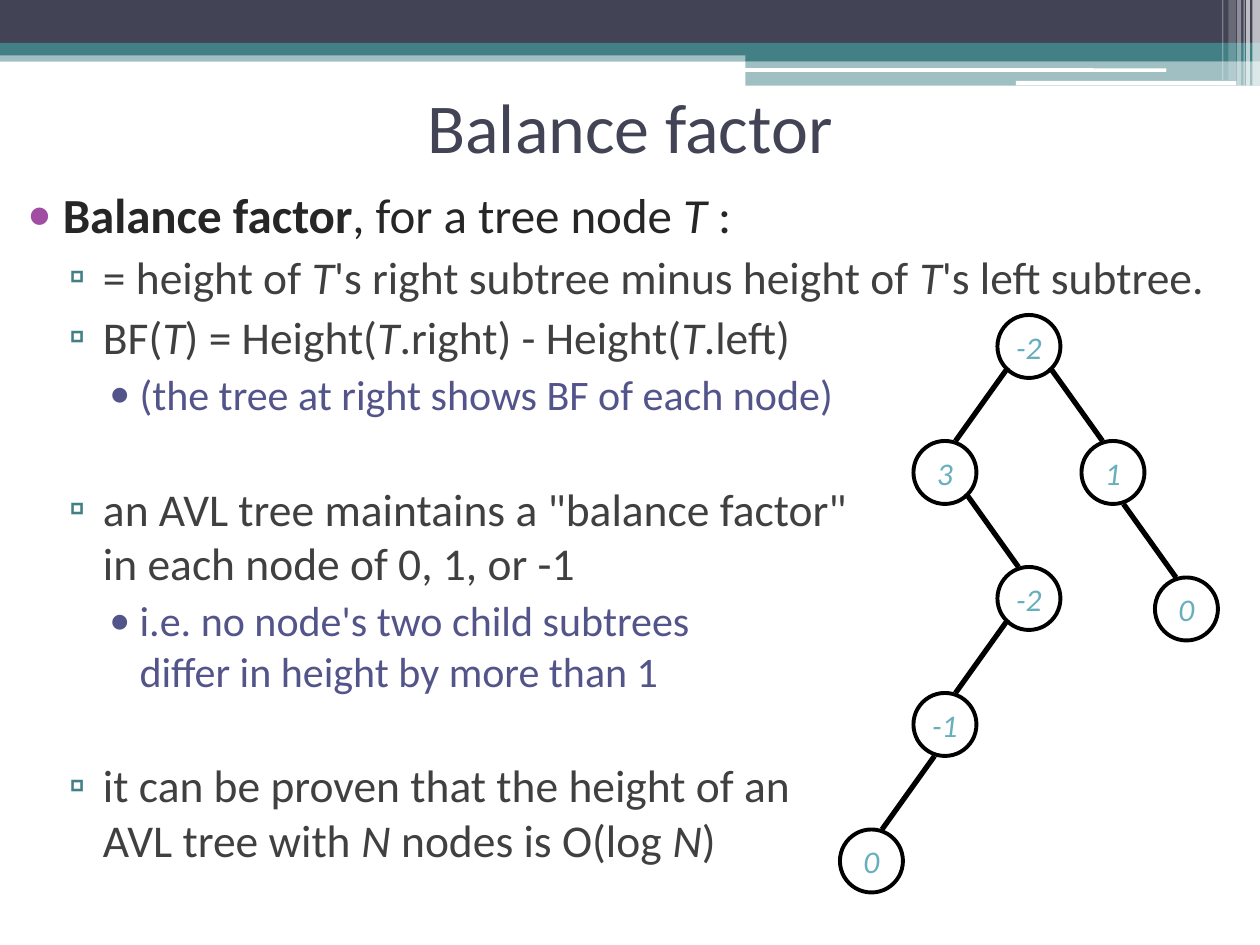
from lxml.etree import SubElement as Sub
from pptx import Presentation
from pptx.dml.color import RGBColor
from pptx.enum.shapes import MSO_CONNECTOR as Link, MSO_SHAPE as Kind
from pptx.enum.text import MSO_ANCHOR as Anchor, PP_ALIGN as Align
from pptx.oxml.ns import qn
from pptx.util import Pt

FONT = "Calibri"
NAVY, TEAL, WHITE, BLACK = "424456", "438086", "FFFFFF", "000000"

# left, top, width, height, colour, opacity in percent
BARS = [
    (0, 28.8, 720, 6.5, TEAL, 50),
    (0, 0, 720, 24.5, NAVY, 100),
    (0, 24.5, 720, 7.2, TEAL, 100),
    (426, 28, 294, 7, TEAL, 100),
    (426, 34.6, 294, 14.4, TEAL, 50),
]
PILLS = [(425.5, 39, 241, 2), (580.5, 46.2, 126, 2.6)]
# left, width, height, opacity of the upright stripes
STRIPES = [
    (715.7, 4.3, 49, 65), (712.1, 2.2, 49, 65), (710.6, 0.7, 49, 60),
    (707, 2.2, 49, 40), (702, 4.3, 46, 20), (698.4, 0.7, 46, 30),
]

# left margin, hanging indent, size, text colour, bullet, bullet colour
LEVELS = [
    (28.8, 20.2, 28, "262626", "•", "A04DA3"),
    (51.8, 19.4, 26, "404040", "▫", TEAL),
    (72.7, 17.3, 24, "53548A", "•", "53548A"),
]
GAP, BREAK = 3, 35.3
# level, space before, runs as (text, style)
POINTS = [
    (0, 0, [("Balance factor", "b"), (", for a tree node ", ""), ("T", "i"), (" :", "")]),
    (1, GAP, [("= height of ", ""), ("T", "i"), ("'s right subtree minus height of ", ""),
              ("T", "i"), ("'s left subtree.", "")]),
    (1, GAP, [("BF(", ""), ("T", "i"), (") = Height(", ""), ("T", "i"),
              (".right) - Height(", ""), ("T", "i"), (".left)", "")]),
    (2, GAP, [("(the tree at right shows BF of each node)", "")]),
    (1, BREAK, [('an AVL tree maintains a "balance factor"\nin each node of 0, 1, or -1', "")]),
    (2, GAP, [("i.e. no node's two child subtrees\ndiffer in height by more than 1", "")]),
    (1, BREAK, [("it can be proven that the height of an\nAVL tree with ", ""), ("N", "i"),
                (" nodes is O(log ", ""), ("N", "i"), (")", "")]),
]

# label, centre x and y within the tree, side of the parent (-1 left, 1 right)
NODES = [
    ("-2", 108, 18, 0), ("3", 60, 90, -1), ("1", 156, 90, 1), ("-2", 108, 162, 1),
    ("-1", 60, 234, -1), ("0", 18, 312, -1), ("0", 198, 168, 1),
]
RADIUS = 18


def rgb(code):
    return RGBColor.from_string(code)


def add_run(para, text, size, color, style=""):
    run = para.add_run()
    run.text = text
    font = run.font
    font.name, font.size = FONT, Pt(size)
    font.color.rgb = rgb(color)
    font.bold, font.italic = "b" in style, "i" in style


def add_bar(slide, box, color, alpha=100, kind=Kind.RECTANGLE):
    bar = slide.shapes.add_shape(kind, *map(Pt, box))
    bar.shadow.inherit = False
    bar.line.fill.background()
    bar.fill.solid()
    bar.fill.fore_color.rgb = rgb(color)
    if alpha < 100:
        tint = bar.fill._xPr.find(qn("a:solidFill"))[0]
        Sub(tint, qn("a:alpha"), val=str(alpha * 1000))


def add_banner(slide, left, top):
    for x, y, wide, high, color, alpha in BARS:
        add_bar(slide, (left + x, top + y, wide, high), color, alpha)
    for x, y, wide, high in PILLS:
        add_bar(slide, (left + x, top + y, wide, high), WHITE, kind=Kind.ROUNDED_RECTANGLE)
    for x, wide, high, alpha in STRIPES:
        add_bar(slide, (left + x, top, wide, high), WHITE, alpha)


def add_title(slide, left, top, wide, high):
    title = slide.shapes.title
    title.left, title.top, title.width, title.height = map(Pt, (left, top, wide, high))
    frame = title.text_frame
    frame.vertical_anchor = Anchor.MIDDLE
    para = frame.paragraphs[0]
    para.alignment = Align.CENTER
    add_run(para, "Balance factor", 40, NAVY)


def set_bullet(para, left, hang, mark, color):
    props = para._p.get_or_add_pPr()
    props.set("marL", str(Pt(left)))
    props.set("indent", str(-Pt(hang)))
    Sub(Sub(props, qn("a:buClr")), qn("a:srgbClr"), val=color)
    Sub(props, qn("a:buFont"), typeface=FONT)
    Sub(props, qn("a:buChar"), char=mark)


def add_points(slide, left, top, wide, high):
    frame = slide.shapes.add_textbox(*map(Pt, (left, top, wide, high))).text_frame
    frame.word_wrap = True
    for i, (level, space, runs) in enumerate(POINTS):
        para = frame.add_paragraph() if i else frame.paragraphs[0]
        margin, hang, size, color, mark, dot = LEVELS[level]
        para.level = level
        set_bullet(para, margin, hang, mark, dot)
        para.space_before = Pt(space)
        for text, style in runs:
            for j, line in enumerate(text.split("\n")):
                if j:
                    para.add_line_break()
                add_run(para, line, size, color, style)


def add_node(slide, x, y, label):
    node = slide.shapes.add_shape(
        Kind.OVAL, Pt(x - RADIUS), Pt(y - RADIUS), Pt(2 * RADIUS), Pt(2 * RADIUS))
    node.shadow.inherit = False
    node.fill.background()
    node.line.color.rgb = rgb(BLACK)
    node.line.width = Pt(2.25)
    frame = node.text_frame
    frame.word_wrap = False
    frame.vertical_anchor = Anchor.MIDDLE
    para = frame.paragraphs[0]
    para.alignment = Align.CENTER
    add_run(para, label, 18, "67AFBD", "i")


def add_edge(slide, x, y, side):
    """Draw the line that comes down from the parent to the node at x, y."""
    end_x, end_y = x - side * 6, y - RADIUS
    edge = slide.shapes.add_connector(
        Link.STRAIGHT, Pt(end_x - side * 30), Pt(end_y - 42), Pt(end_x), Pt(end_y))
    edge.line.color.rgb = rgb(BLACK)
    edge.line.width = Pt(3)
    Sub(edge._element.spPr, qn("a:effectLst"))


def add_tree(slide, left, top):
    for label, x, y, side in NODES:
        add_node(slide, left + x, top + y, label)
        if side:
            add_edge(slide, left + x, top + y, side)


def main():
    deck = Presentation()
    deck.slide_width, deck.slide_height = Pt(720), Pt(540)
    slide = deck.slides.add_slide(deck.slide_layouts[5])
    add_banner(slide, 0, 0)
    add_title(slide, 36, 30, 648, 84)
    add_points(slide, 0, 102, 720, 438)
    add_tree(slide, 480, 180)
    deck.save("out.pptx")


if __name__ == "__main__":
    main()
